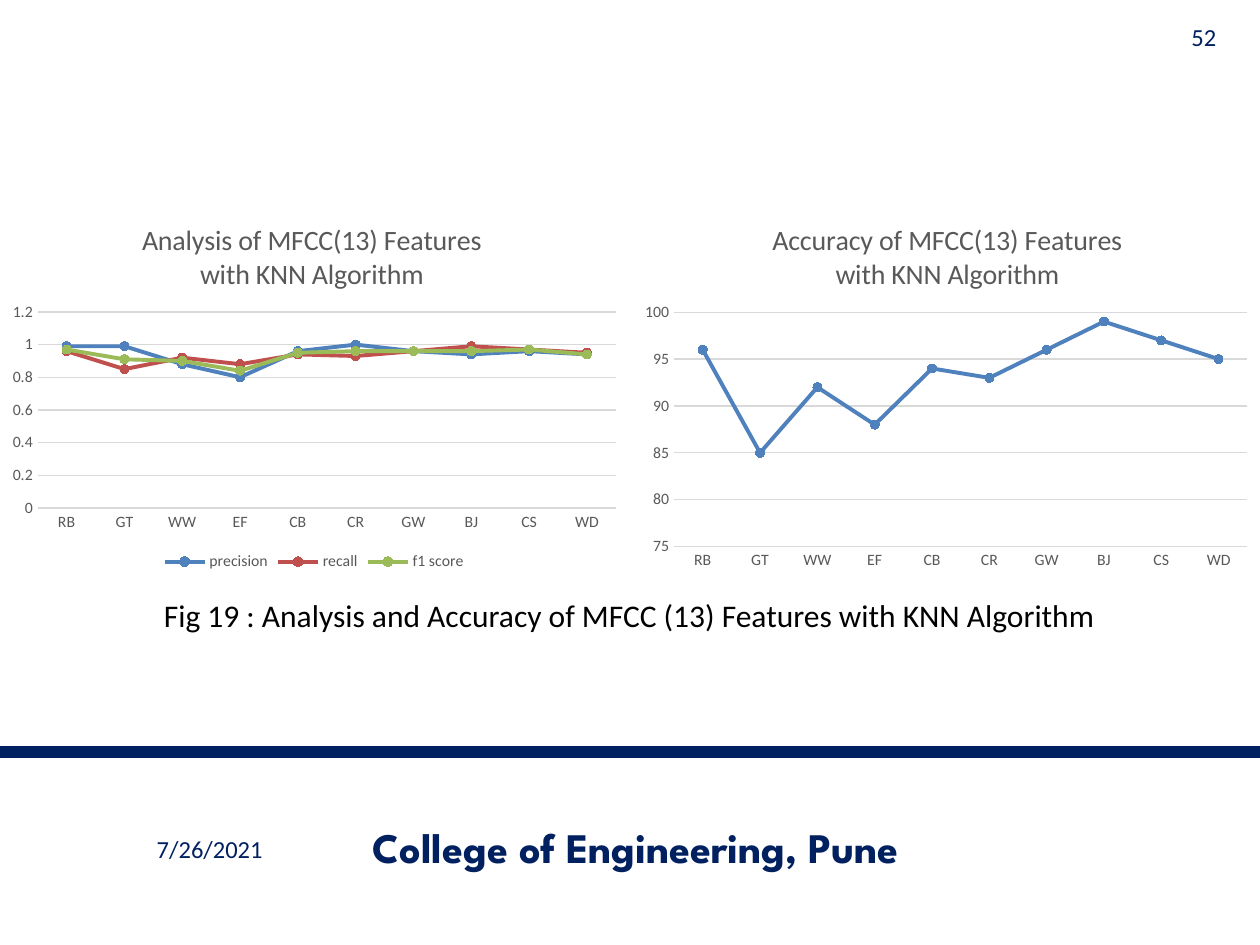
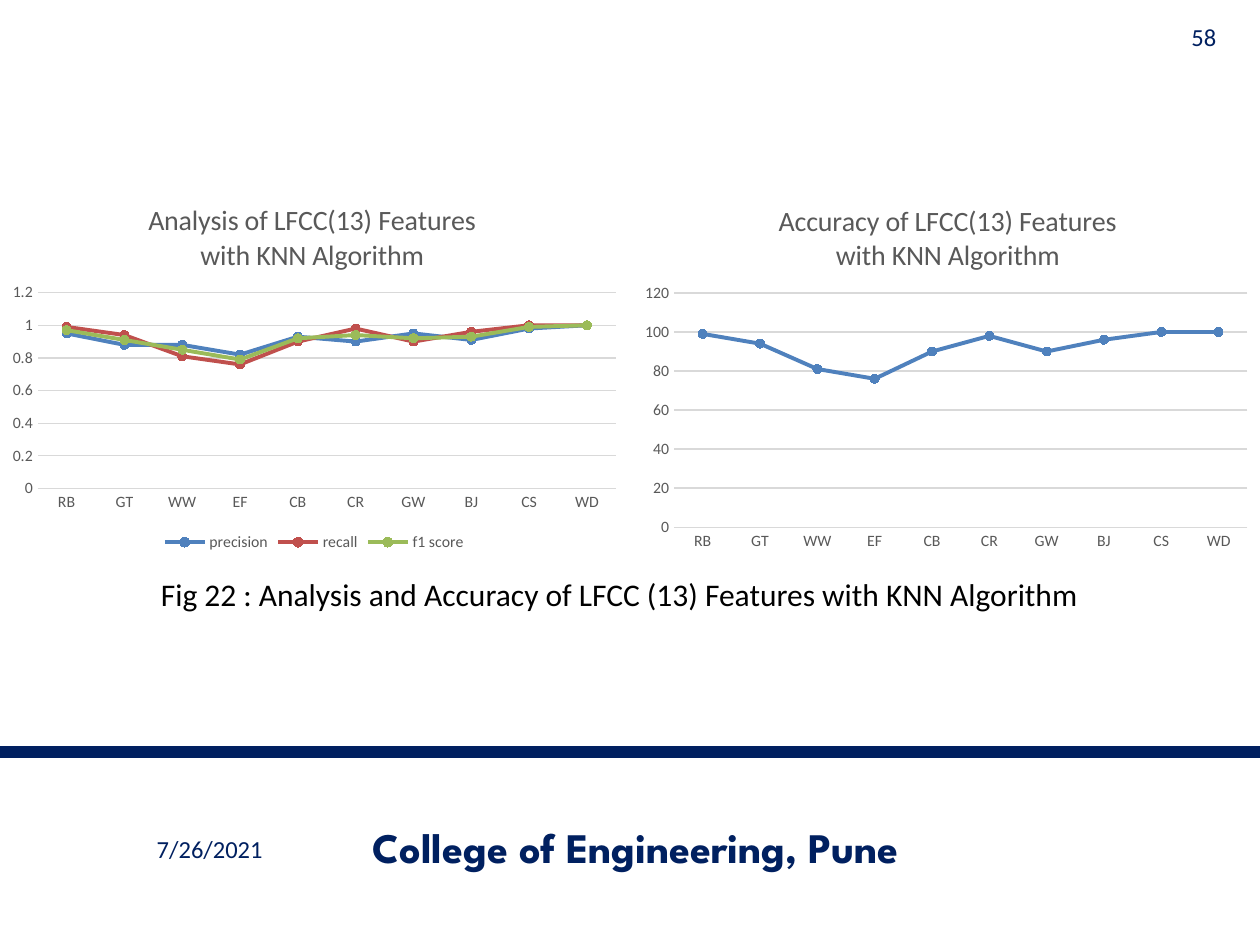
from dataclasses import dataclass

from lxml import etree
from pptx import Presentation
from pptx.chart.data import CategoryChartData
from pptx.dml.color import RGBColor
from pptx.enum.chart import XL_CHART_TYPE, XL_LEGEND_POSITION, XL_MARKER_STYLE, XL_TICK_MARK
from pptx.enum.shapes import MSO_CONNECTOR
from pptx.enum.text import MSO_ANCHOR, PP_ALIGN
from pptx.oxml.ns import qn
from pptx.util import Cm, Pt

LINE_MARKERS = XL_CHART_TYPE.LINE_MARKERS
LEGEND_BOTTOM = XL_LEGEND_POSITION.BOTTOM
CIRCLE = XL_MARKER_STYLE.CIRCLE
NO_TICK = XL_TICK_MARK.NONE
STRAIGHT = MSO_CONNECTOR.STRAIGHT
TOP, MIDDLE = MSO_ANCHOR.TOP, MSO_ANCHOR.MIDDLE
CENTER, RIGHT = PP_ALIGN.CENTER, PP_ALIGN.RIGHT

COLORS = {
    "navy": "002060", "black": "000000", "grey": "595959", "grid": "D9D9D9",
    "blue": "4F81BD", "red": "C0504D", "green": "9BBB59",
}
SERIES_COLORS = ("blue", "red", "green")
BODY_FONT, COLLEGE_FONT = "Calibri", "League Spartan"
SLIDE_W, SLIDE_H = 25.4, 19.05
RULE_Y = 15.16
CLASSES = ("RB", "GT", "WW", "EF", "CB", "CR", "GW", "BJ", "CS", "WD")


@dataclass(frozen=True)
class Box:
    left: float
    top: float
    width: float
    height: float

    def lengths(self) -> list:
        return [Cm(v) for v in (self.left, self.top, self.width, self.height)]


@dataclass(frozen=True)
class Label:
    text: str
    box: Box
    size: float
    color: str = "navy"
    font: str = BODY_FONT
    bold: bool = False
    align: PP_ALIGN = CENTER
    anchor: MSO_ANCHOR = MIDDLE


@dataclass(frozen=True)
class LineChart:
    title: str
    box: Box
    title_left: float
    plot: Box  # fractions of the chart area
    scale: tuple[float, float, float]  # minimum, maximum, step
    series: dict[str, tuple]


@dataclass(frozen=True)
class Result:
    page: str
    figure: str
    feature: str
    chart_top: float
    caption_left: float
    caption_top: float
    title_left: float
    accuracy_scale: tuple[float, float, float]
    scores: dict[str, tuple]
    accuracy: tuple


FOOTERS = (
    Label("7/26/2021", Box(1.27, 16.59, 5.92, 1.02), 14),
    Label("College of Engineering, Pune", Box(6.15, 16.56, 13.34, 1.02), 24,
          font=COLLEGE_FONT, bold=True),
)

RESULTS = (
    Result("52", "19", "MFCC", 4.01, 0.84, 11.89, 0.22, (75, 100, 5), {
        "precision": (0.99, 0.99, 0.88, 0.8, 0.96, 1, 0.96, 0.94, 0.96, 0.94),
        "recall": (0.96, 0.85, 0.92, 0.88, 0.94, 0.93, 0.96, 0.99, 0.97, 0.95),
        "f1 score": (0.97, 0.91, 0.9, 0.84, 0.95, 0.96, 0.96, 0.96, 0.97, 0.94),
    }, (96, 85, 92, 88, 94, 93, 96, 99, 97, 95)),
    Result("58", "22", "LFCC", 3.62, 0.64, 11.46, 0.23, (0, 120, 20), {
        "precision": (0.95, 0.88, 0.88, 0.82, 0.93, 0.9, 0.95, 0.91, 0.98, 1),
        "recall": (0.99, 0.94, 0.81, 0.76, 0.9, 0.98, 0.9, 0.96, 1, 1),
        "f1 score": (0.97, 0.91, 0.85, 0.79, 0.92, 0.94, 0.92, 0.93, 0.99, 1),
    }, (99, 94, 81, 76, 90, 98, 90, 96, 100, 100)),
)


def rgb(name: str) -> RGBColor:
    return RGBColor.from_string(COLORS[name])


def style_font(font, size: float, color: str, name: str = BODY_FONT, bold: bool = False) -> None:
    font.size, font.name, font.bold = Pt(size), name, bold
    font.color.rgb = rgb(color)


def add_label(slide, label: Label) -> None:
    tf = slide.shapes.add_textbox(*label.box.lengths()).text_frame
    tf.word_wrap = True
    tf.vertical_anchor = label.anchor
    p = tf.paragraphs[0]
    p.alignment = label.align
    r = p.add_run()
    r.text = label.text
    style_font(r.font, label.size, label.color, label.font, label.bold)


def add_rule(slide) -> None:
    rule = slide.shapes.add_connector(STRAIGHT, 0, Cm(RULE_Y), Cm(SLIDE_W), Cm(RULE_Y))
    rule.line.color.rgb = rgb("navy")
    rule.line.width = Pt(6.5)
    etree.SubElement(rule.element.find(qn("p:spPr")), qn("a:effectLst"))


def set_layout(parent, index: int, **values) -> None:
    """Place a chart part by hand, replacing its automatic layout."""
    for old in parent.findall(qn("c:layout")):
        parent.remove(old)
    layout = etree.Element(qn("c:layout"))
    manual = etree.SubElement(layout, qn("c:manualLayout"))
    for tag, value in values.items():
        etree.SubElement(manual, qn(f"c:{tag}")).set("val", str(value))
    parent.insert(index, layout)


def style_title(chart, spec: LineChart) -> None:
    chart.has_title = True
    tf = chart.chart_title.text_frame
    for i, line in enumerate(spec.title.split("\n")):
        p = tf.add_paragraph() if i else tf.paragraphs[0]
        r = p.add_run()
        r.text = line
        style_font(r.font, 16, "grey")
    chart.chart_title.include_in_layout = False
    set_layout(chart.chart_title.element, 1, xMode="edge", yMode="edge",
               x=spec.title_left, y=0.05)


def style_axes(chart, scale: tuple[float, float, float]) -> None:
    cat, val = chart.category_axis, chart.value_axis
    for axis in (cat, val):
        axis.major_tick_mark = axis.minor_tick_mark = NO_TICK
        style_font(axis.tick_labels.font, 9, "grey")
    val.minimum_scale, val.maximum_scale, val.major_unit = scale
    val.has_major_gridlines = True
    val.format.line.fill.background()
    for line in (cat.format.line, val.major_gridlines.format.line):
        line.color.rgb = rgb("grid")
        line.width = Pt(0.75)


def style_series(series, color: str) -> None:
    series.smooth = False
    series.format.line.color.rgb = rgb(color)
    series.format.line.width = Pt(2.25)
    marker = series.marker
    marker.style, marker.size = CIRCLE, 5
    marker.format.fill.solid()
    marker.format.fill.fore_color.rgb = rgb(color)
    marker.format.line.color.rgb = rgb(color)


def add_line_chart(slide, spec: LineChart) -> None:
    data = CategoryChartData(number_format="General")
    data.categories = CLASSES
    for name, values in spec.series.items():
        data.add_series(name, values)
    chart = slide.shapes.add_chart(LINE_MARKERS, *spec.box.lengths(), data).chart
    style_font(chart.font, 10, "black")
    style_title(chart, spec)
    style_axes(chart, spec.scale)
    chart.plots[0].vary_by_categories = False
    for series, color in zip(chart.plots[0].series, SERIES_COLORS):
        style_series(series, color)
    chart.has_legend = len(spec.series) > 1
    if chart.has_legend:
        chart.legend.position = LEGEND_BOTTOM
        chart.legend.include_in_layout = False
        style_font(chart.legend.font, 9, "grey")
    plot = spec.plot
    set_layout(chart.element.find(".//" + qn("c:plotArea")), 0, layoutTarget="inner",
               xMode="edge", yMode="edge", x=plot.left, y=plot.top, w=plot.width, h=plot.height)


def add_result_slide(prs, result: Result) -> None:
    slide = prs.slides.add_slide(prs.slide_layouts[6])
    add_rule(slide)
    page = Label(result.page, Box(23.5, 0.38, 1.27, 0.71), 14, align=RIGHT)
    for label in (*FOOTERS, page):
        add_label(slide, label)

    subject = f"{result.feature}(13) Features\nwith KNN Algorithm"
    half = SLIDE_W / 2
    add_line_chart(slide, LineChart(
        f"Analysis of {subject}", Box(0, result.chart_top, 12.67, 7.6),
        result.title_left, Box(0.06, 0.3, 0.92, 0.52), (0, 1.2, 0.2), result.scores))
    add_line_chart(slide, LineChart(
        f"Accuracy of {subject}", Box(half, result.chart_top, half, 7.62),
        result.title_left, Box(0.07, 0.3, 0.91, 0.62), result.accuracy_scale,
        {"accuracy": result.accuracy}))

    caption = (f"Fig {result.figure} : Analysis and Accuracy of {result.feature} (13) "
               "Features with KNN Algorithm")
    add_label(slide, Label(caption, Box(result.caption_left, result.caption_top, 23.7, 1.02),
                           18, "black", anchor=TOP))


def main() -> None:
    prs = Presentation()
    prs.slide_width, prs.slide_height = Cm(SLIDE_W), Cm(SLIDE_H)
    for result in RESULTS:
        add_result_slide(prs, result)
    prs.save("out.pptx")


if __name__ == "__main__":
    main()
